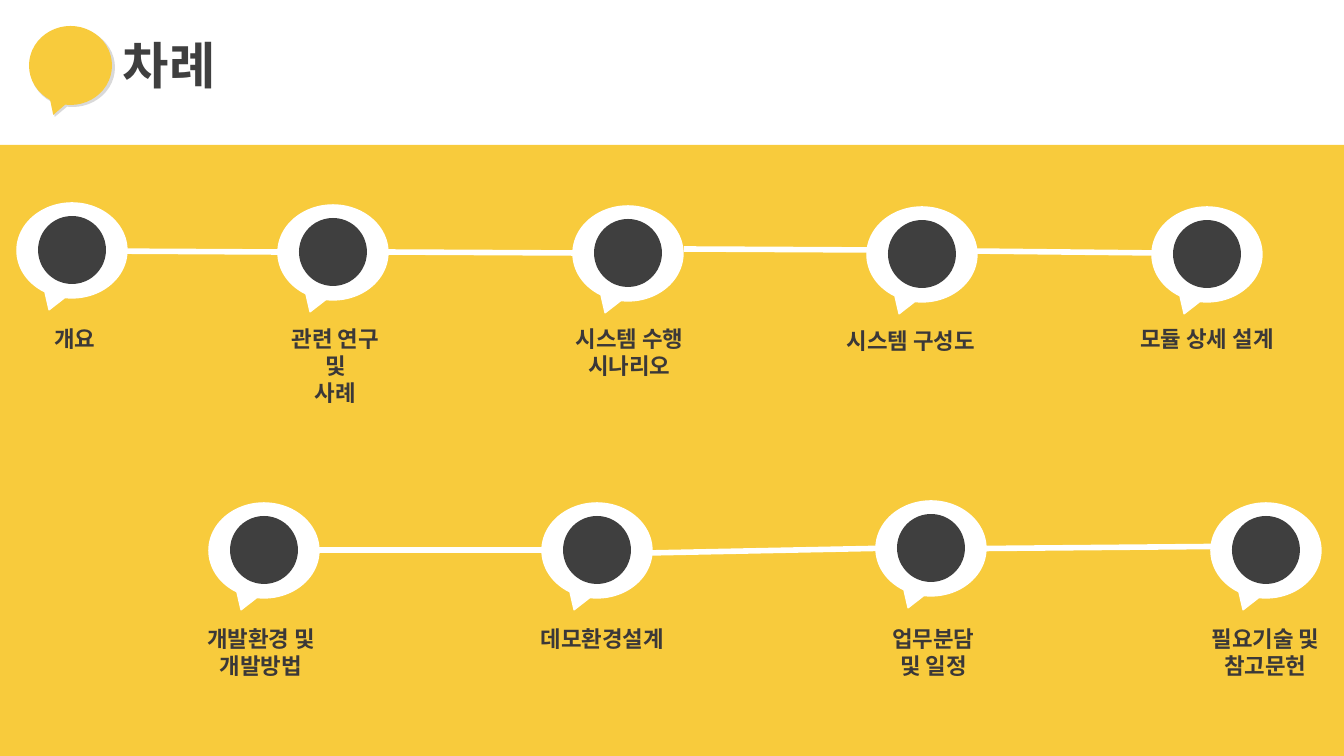
from dataclasses import dataclass
from lxml.etree import SubElement
from pptx import Presentation
from pptx.dml.color import RGBColor as RGB
from pptx.enum.shapes import MSO_CONNECTOR as LINK, MSO_SHAPE as SHAPE
from pptx.enum.text import MSO_AUTO_SIZE as FIT, PP_ALIGN as ALIGN
from pptx.oxml.ns import qn
from pptx.util import Emu, Pt


@dataclass(frozen=True)
class Theme:
    gold: RGB = RGB.from_string("F8CB3C")
    white: RGB = RGB.from_string("FFFFFF")
    shade: RGB = RGB.from_string("D9D9D9")
    dark: RGB = RGB.from_string("3F3F3F")
    ink: RGB = RGB.from_string("3B3838")
    font: str = "Noto Sans CJK KR"
    head: int = 36
    label: int = 16
    link: int = 4
    edge: int = 1


theme = Theme()
PX = 914400 / 100.8


def paint(host, kind, box, fill, line=None):
    shape = host.add_shape(kind, *[Emu(round(n * PX)) for n in box])
    shape.shadow.inherit = False
    shape.fill.solid()
    shape.fill.fore_color.rgb = fill
    if line is None:
        shape.line.fill.background()
    else:
        shape.line.color.rgb = line
        shape.line.width = Pt(theme.edge)
    if kind == SHAPE.OVAL_CALLOUT:
        shape.adjustments[0] = -0.208
        shape.adjustments[1] = 0.625


def write(box, lines, size, color, align, wrap):
    frame = slide.shapes.add_textbox(*[Emu(round(n * PX)) for n in box]).text_frame
    frame.word_wrap = wrap
    frame.auto_size = FIT.SHAPE_TO_FIT_TEXT
    frame.text = "\n".join(lines)
    for para in frame.paragraphs:
        para.alignment = align
        font = para.font
        font.size = Pt(size)
        font.bold = True
        font.color.rgb = color
        font.name = theme.font
        # Korean glyphs take the East Asian typeface
        props = para._p.pPr.find(qn("a:defRPr"))
        SubElement(props, qn("a:ea"), typeface=theme.font)


deck = Presentation()
deck.slide_width = Emu(round(1344 * PX))
deck.slide_height = Emu(round(756 * PX))
slide = deck.slides.add_slide(deck.slide_layouts[6])

# Gold field
paint(slide.shapes, SHAPE.RECTANGLE, (0, 145, 1344, 611), theme.gold)

# Heading with its speech bubble
badge = slide.shapes.add_group_shape().shapes
paint(badge, SHAPE.OVAL_CALLOUT, (30, 28, 85, 79), theme.shade)
paint(badge, SHAPE.OVAL_CALLOUT, (29, 26, 83, 79), theme.gold)
write((113, 29, 119, 72), ["차례"], theme.head, theme.dark, ALIGN.LEFT, False)

# Links between the steps
links = [
    (88, 251, 280, 252),
    (386, 252, 579, 253),
    (684, 249, 876, 250),
    (968, 251, 1160, 253),
    (280, 550, 563, 550),
    (598, 554, 897, 548),
    (931, 549, 1267, 546),
]
for ends in links:
    link = slide.shapes.add_connector(
        LINK.STRAIGHT, *[Emu(round(n * PX)) for n in ends])
    link.line.color.rgb = theme.white
    link.line.width = Pt(theme.link)
    SubElement(link._element.spPr, qn("a:effectLst"))

# Steps: bubble left and top, then label left, top, width and lines
steps = [
    (17, 203, 10, 320, 130, ["개요"]),
    (278, 205, 263, 320, 145, ["관련 연구", "및", "사례"]),
    (573, 206, 557, 320, 145, ["시스템 수행 시나리오"]),
    (867, 207, 830, 322, 162, ["시스템 구성도"]),
    (1152, 207, 1112, 320, 190, ["모듈 상세 설계"]),
    (209, 503, 190, 620, 142, ["개발환경 및 개발방법"]),
    (542, 503, 521, 620, 163, ["데모환경설계"]),
    (876, 501, 864, 620, 139, ["업무분담", "및 일정"]),
    (1211, 503, 1191, 620, 149, ["필요기술 및 참고문헌"]),
]
for left, top, x, y, width, lines in steps:
    step = slide.shapes.add_group_shape().shapes
    paint(step, SHAPE.OVAL_CALLOUT, (left, top, 110, 95), theme.white, theme.white)
    paint(step, SHAPE.OVAL, (left + 21, top + 13, 68, 68), theme.dark)
    rows = 2 if width in (139, 142, 145, 149) else 1
    high = 11 + 26 * max(rows, len(lines))
    write((x, y, width, high), lines, theme.label, theme.ink, ALIGN.CENTER, True)

deck.save("out.pptx")
